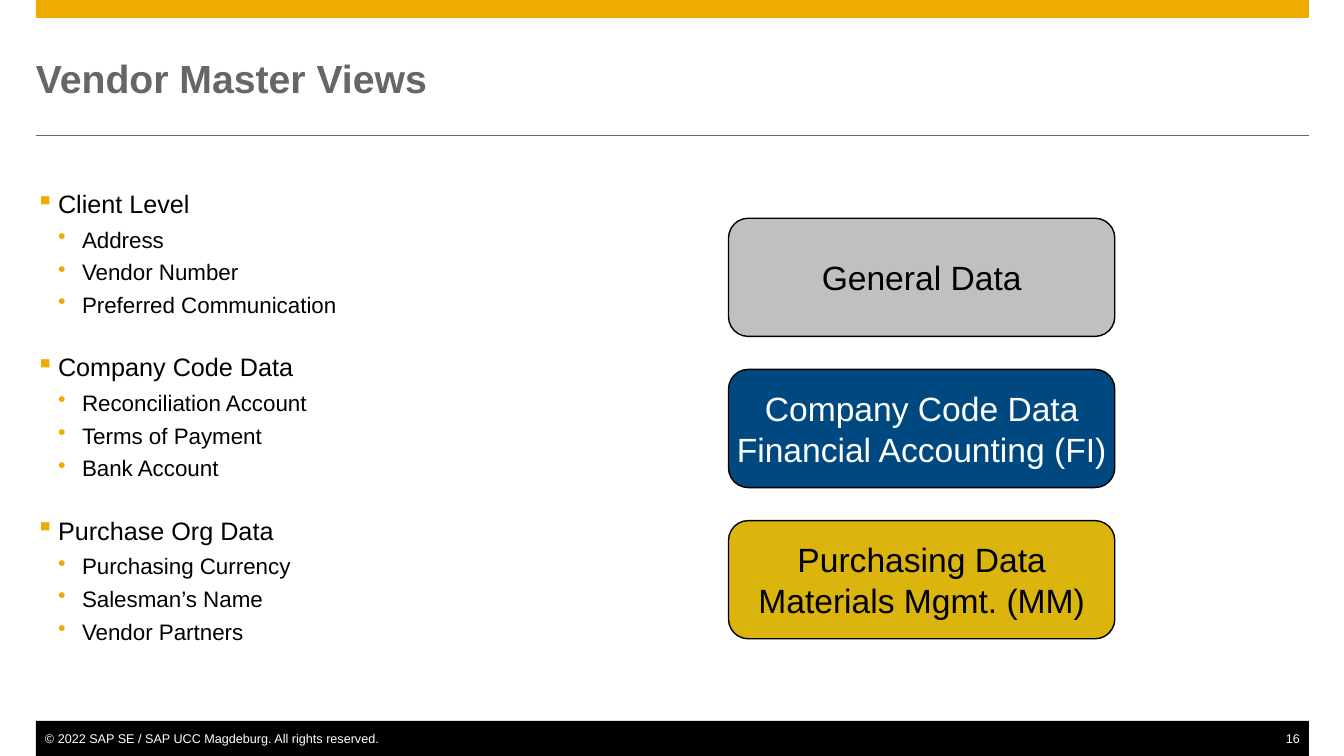
from lxml import etree
from pptx import Presentation
from pptx.dml.color import RGBColor
from pptx.enum.shapes import MSO_CONNECTOR, MSO_SHAPE
from pptx.enum.text import MSO_ANCHOR, PP_ALIGN
from pptx.oxml.ns import qn
from pptx.util import Pt

RECT, ROUND = MSO_SHAPE.RECTANGLE, MSO_SHAPE.ROUNDED_RECTANGLE
LINE = MSO_CONNECTOR.STRAIGHT
TOP, MID = MSO_ANCHOR.TOP, MSO_ANCHOR.MIDDLE
LEFT, MIDDLE, RIGHT = PP_ALIGN.LEFT, PP_ALIGN.CENTER, PP_ALIGN.RIGHT

# Content
TITLE = "Vendor Master Views"
TOPICS = {
    "Client Level": ["Address", "Vendor Number", "Preferred Communication"],
    "Company Code Data": ["Reconciliation Account", "Terms of Payment", "Bank Account"],
    "Purchase Org Data": ["Purchasing Currency", "Salesman’s Name", "Vendor Partners"],
}
VIEWS = [
    (["General Data"], "C0C0C0", "000000"),
    (["Company Code Data", "Financial Accounting (FI)"], "004880", "FFFFFF"),
    (["Purchasing Data", "Materials Mgmt. (MM)"], "DBB40D", "000000"),
]
RIGHTS = "© 2022 SAP SE / SAP UCC Magdeburg. All rights reserved."
PAGE = "16"

# Layout in px
WIDE, HIGH = 1343, 755
EDGE, SPAN = 36, 1272
GOLD, GREY, BLACK, WHITE = "F0AB00", "666666", "000000", "FFFFFF"


def px(n):
    return round(n * 914400 / 100.7)


def color(code):
    return RGBColor.from_string(code)


def write(frame, lines, size=18, ink=BLACK, bold=False, align=LEFT,
          anchor=TOP, inset=(0, 0, 0, 0), wrap=True):
    frame.word_wrap = wrap
    frame.vertical_anchor = anchor
    (frame.margin_left, frame.margin_top,
     frame.margin_right, frame.margin_bottom) = map(px, inset)
    for i, line in enumerate(lines):
        para = frame.add_paragraph() if i else frame.paragraphs[0]
        para.text = line
        para.alignment = align
        font = para.font
        font.name, font.size, font.bold = "Arial", Pt(size), bold
        font.color.rgb = color(ink)
    return frame.paragraphs


def label(x, y, w, h, lines, **style):
    box = slide.shapes.add_textbox(px(x), px(y), px(w), px(h))
    return write(box.text_frame, lines, **style)


def block(kind, x, y, w, h, fill, edge=None):
    shape = slide.shapes.add_shape(kind, px(x), px(y), px(w), px(h))
    shape.shadow.inherit = False
    shape.fill.solid()
    shape.fill.fore_color.rgb = color(fill)
    if edge:
        shape.line.color.rgb = color(edge)
        shape.line.width = Pt(1)
    else:
        shape.line.fill.background()
    return shape


def bullet(para, mark, left, hang):
    props = para._p.get_or_add_pPr()
    props.set("marL", str(px(left)))
    props.set("indent", str(-px(hang)))
    tint = etree.Element(qn("a:buClr"))
    etree.SubElement(tint, qn("a:srgbClr"), val=GOLD)
    sign = etree.Element(qn("a:buChar"), char=mark)
    # Bullet elements come before the default run format
    props.find(qn("a:defRPr")).addprevious(tint)
    tint.addnext(sign)


deck = Presentation()
deck.slide_width, deck.slide_height = px(WIDE), px(HIGH)
slide = deck.slides.add_slide(deck.slide_layouts[6])

# Top band, title and rule
block(RECT, EDGE, 0, SPAN, 18, GOLD)
label(EDGE, 36, SPAN, 84, [TITLE], size=28, ink=GREY, bold=True, anchor=MID)
rule = slide.shapes.add_connector(LINE, px(EDGE), px(135), px(EDGE + SPAN), px(135))
rule.line.color.rgb = color(GREY)
rule.line.width = Pt(0.5)
etree.SubElement(rule._element.spPr, qn("a:effectLst"))

# Footer
block(RECT, EDGE, 720, SPAN, 35, BLACK)
label(EDGE, 730, 348, 15, [RIGHTS], size=9, ink=WHITE, inset=(9, 0, 0, 0), wrap=False)
label(1282, 730, 26, 15, [PAGE], size=9, ink=WHITE, align=RIGHT, inset=(0, 0, 9, 0))

# Topic list
rows = [(text, level) for head, items in TOPICS.items()
        for text, level in [(head, 0)] + [(item, 1) for item in items]]
paras = label(EDGE, 188, SPAN, 483, [text for text, level in rows])
for i, (para, (text, level)) in enumerate(zip(paras, rows)):
    if level:
        para.level = 1
        para.font.size = Pt(16)
        para.space_before = Pt(4.1)
        bullet(para, "•", 46, 24)
    else:
        para.space_before = Pt(24 if i else 0)
        para.space_after = Pt(1.2)
        bullet(para, "▪", 22, 22)

# View boxes
for i, (lines, fill, ink) in enumerate(VIEWS):
    view = block(ROUND, 728, 218 + i * 151, 386, 118, fill, BLACK)
    view.adjustments[0] = 0.167
    write(view.text_frame, lines, size=24, ink=ink, align=MIDDLE, anchor=MID,
          inset=(10, 5, 10, 5), wrap=False)

deck.save("out.pptx")
